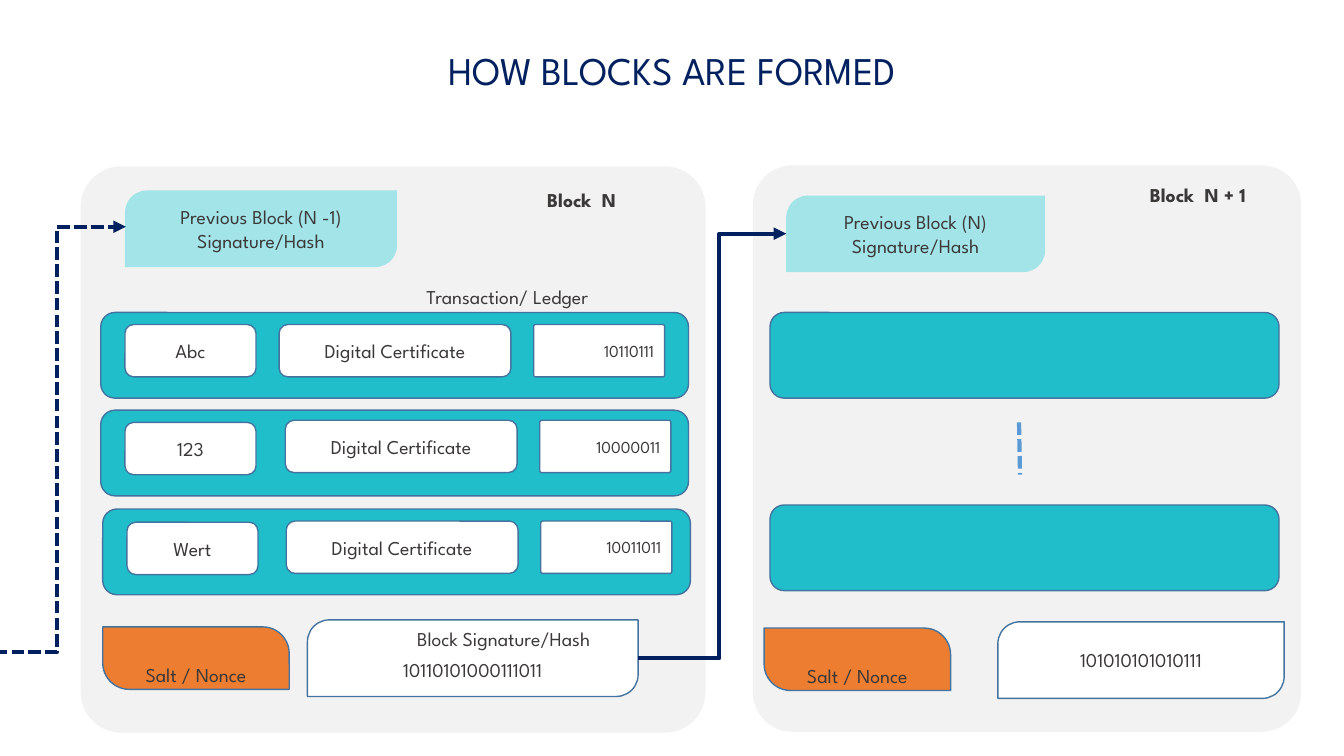
from dataclasses import dataclass
from typing import Optional

from pptx import Presentation
from pptx.dml.color import RGBColor as RGB
from pptx.enum.dml import MSO_LINE as Dash
from pptx.enum.shapes import MSO_CONNECTOR as Link, MSO_SHAPE as Geom
from pptx.enum.text import MSO_ANCHOR as Anchor, PP_ALIGN as Align
from pptx.oxml.ns import qn
from pptx.slide import Slide
from pptx.text.text import TextFrame
from pptx.util import Pt
from lxml.etree import SubElement


@dataclass(frozen=True)
class Theme:
    font: str = "League Spartan"
    title: int = 28
    body: int = 14
    small: int = 12
    ink: RGB = RGB(0x3B, 0x38, 0x38)
    navy: RGB = RGB(0x00, 0x20, 0x60)
    edge: RGB = RGB(0x43, 0x73, 0x9E)
    dots: RGB = RGB(0x5B, 0x9B, 0xD5)
    panel: RGB = RGB(0xF2, 0xF2, 0xF2)
    teal: RGB = RGB(0x1F, 0xBE, 0xCA)
    pale: RGB = RGB(0xA3, 0xE4, 0xE9)
    salt: RGB = RGB(0xED, 0x7D, 0x31)
    white: RGB = RGB(0xFF, 0xFF, 0xFF)


THEME = Theme()
LINE = 16.5  # height of one body line
INSET = 3.6


@dataclass(frozen=True)
class Box:
    left: float
    top: float
    width: float
    height: float
    fill: RGB
    text: str = ""
    geom: Geom = Geom.ROUNDED_RECTANGLE
    adj: tuple[float, ...] = ()
    edge: bool = True
    size: int = THEME.body
    align: Align = Align.CENTER
    anchor: Anchor = Anchor.MIDDLE
    drop: float = 0  # extra inset above the text


@dataclass(frozen=True)
class Label:
    left: float
    top: float
    width: float
    text: str
    bold: bool = False


@dataclass(frozen=True)
class Entry:
    """One ledger row with its three cells."""
    left: float
    top: float
    name: str
    name_top: float
    cert_left: float
    cert_top: float
    code: str


@dataclass(frozen=True)
class Wire:
    start: tuple[float, float]
    end: tuple[float, float]
    color: RGB = THEME.navy
    bend: Optional[float] = None
    dash: bool = False
    arrow: bool = True


def write(frame: TextFrame, text: str, size: int, color: RGB,
          align: Align, bold: bool = False) -> None:
    frame.word_wrap = True
    para = frame.paragraphs[0]
    para.text = text
    para.alignment = align
    font = para.font
    font.name, font.size, font.bold = THEME.font, Pt(size), bold
    font.color.rgb = color


def draw_box(slide: Slide, box: Box) -> None:
    shape = slide.shapes.add_shape(
        box.geom, Pt(box.left), Pt(box.top), Pt(box.width), Pt(box.height))
    shape.shadow.inherit = False
    for i, value in enumerate(box.adj):
        shape.adjustments[i] = value
    shape.fill.solid()
    shape.fill.fore_color.rgb = box.fill
    if box.edge:
        shape.line.color.rgb = THEME.edge
        shape.line.width = Pt(1)
    else:
        shape.line.fill.background()
    if box.text:
        frame = shape.text_frame
        frame.vertical_anchor = box.anchor
        frame.margin_top = Pt(INSET + box.drop)
        write(frame, box.text, box.size, THEME.ink, box.align)


def draw_label(slide: Slide, label: Label) -> None:
    area = slide.shapes.add_textbox(
        Pt(label.left), Pt(label.top), Pt(label.width), Pt(24.5))
    write(area.text_frame, label.text, THEME.body, THEME.ink,
          Align.LEFT, label.bold)


def draw_wire(slide: Slide, wire: Wire) -> None:
    kind = Link.STRAIGHT if wire.bend is None else Link.ELBOW
    link = slide.shapes.add_connector(
        kind, *(Pt(v) for v in wire.start + wire.end))
    link.line.color.rgb = wire.color
    link.line.width = Pt(3)
    if wire.dash:
        link.line.dash_style = Dash.SQUARE_DOT
    props = link._element.spPr
    if wire.bend is not None:
        guides = props.find(qn("a:prstGeom")).get_or_add_avLst()
        SubElement(guides, qn("a:gd"), name="adj1",
                   fmla=f"val {round(wire.bend * 100000)}")
    if wire.arrow:
        SubElement(props.find(qn("a:ln")), qn("a:tailEnd"), type="triangle")
    SubElement(props, qn("a:effectLst"))


def draw_title(slide: Slide, text: str) -> None:
    title = slide.shapes.title
    title.left, title.top = Pt(0), Pt(29.5)
    title.width, title.height = Pt(960), Pt(41)
    title.text_frame.vertical_anchor = Anchor.TOP
    write(title.text_frame, text, THEME.title, THEME.navy, Align.CENTER)


def panel(left: float, top: float, width: float) -> Box:
    return Box(left, top, width, 404.6, THEME.panel, adj=(0.072,), edge=False)


def bar(left: float, top: float, width: float) -> Box:
    return Box(left, top, width, 61.2, THEME.teal)


def leaf(left: float, top: float, width: float, fill: RGB, text: str,
         edge: bool = True, drop: float = 0) -> Box:
    """Box with two opposite corners rounded, for a hash."""
    return Box(left, top, width, 54.7, fill, text, Geom.ROUND_2_DIAG_RECTANGLE,
               (0.286, 0), edge, drop=drop)


def nonce(left: float, top: float) -> Box:
    return Box(left, top, 133.2, 44.6, THEME.salt, "Salt / Nonce",
               Geom.ROUND_2_DIAG_RECTANGLE, (0, 0.423),
               anchor=Anchor.TOP, drop=LINE)


def cells(row: Entry) -> list[Box]:
    high, white = 37.4, THEME.white
    return [
        bar(row.left, row.top, 419.8),
        Box(row.left + 17.3, row.name_top, 93.6, high, white, row.name),
        Box(row.cert_left, row.cert_top, 165.6, high, white,
            "Digital Certificate"),
        Box(row.cert_left + 181.8, row.cert_top, 93.6, high, white, row.code,
            adj=(0.037,), size=THEME.small, align=Align.RIGHT),
    ]


ROWS = [
    Entry(72, 223.2, "Abc", 231.8, 199.4, 231.8, "10110111"),
    Entry(72, 293, "123", 301.7, 203.8, 300.2, "10000011"),
    Entry(73.4, 363.6, "Wert", 373, 204.5, 372.2, "10011011"),
]

BOXES = [
    panel(57.6, 118.8, 446.4),
    panel(537.8, 118.1, 391.7),
    leaf(89.3, 136.1, 194.4, THEME.pale,
         "Previous Block (N -1) Signature/Hash", edge=False),
    leaf(561.6, 139.7, 185, THEME.pale,
         "Previous Block (N) Signature/Hash", edge=False),
    *(box for row in ROWS for box in cells(row)),
    *(bar(550, top, 363.6) for top in (223.2, 360.7)),
    leaf(219.6, 442.8, 236.2, THEME.white, "10110101000111011", drop=LINE),
    leaf(712.8, 444.2, 204.5, THEME.white, "101010101010111"),
    nonce(73.4, 447.8),
    nonce(545.8, 448.6),
]

LABELS = [
    Label(297.4, 200.2, 160.6, "Transaction/ Ledger"),
    Label(383.8, 131, 129.6, "Block  N", bold=True),
    Label(814.3, 127.4, 103, "Block  N + 1", bold=True),
    Label(290.9, 444.2, 159.1, "Block Signature/Hash"),
]

WIRES = [
    Wire((455.8, 470.2), (561.6, 167), bend=0.549),
    Wire((-15.8, 465.8), (90, 162), bend=0.534, dash=True),
    Wire((727.9, 301.7), (728.6, 339.1), THEME.dots, dash=True, arrow=False),
]


def main() -> None:
    deck = Presentation()
    deck.slide_width, deck.slide_height = Pt(960), Pt(540)
    slide = deck.slides.add_slide(deck.slide_layouts[5])
    draw_title(slide, "HOW BLOCKS ARE FORMED")
    for box in BOXES:
        draw_box(slide, box)
    for wire in WIRES:
        draw_wire(slide, wire)
    for label in LABELS:
        draw_label(slide, label)
    deck.save("out.pptx")


if __name__ == "__main__":
    main()
